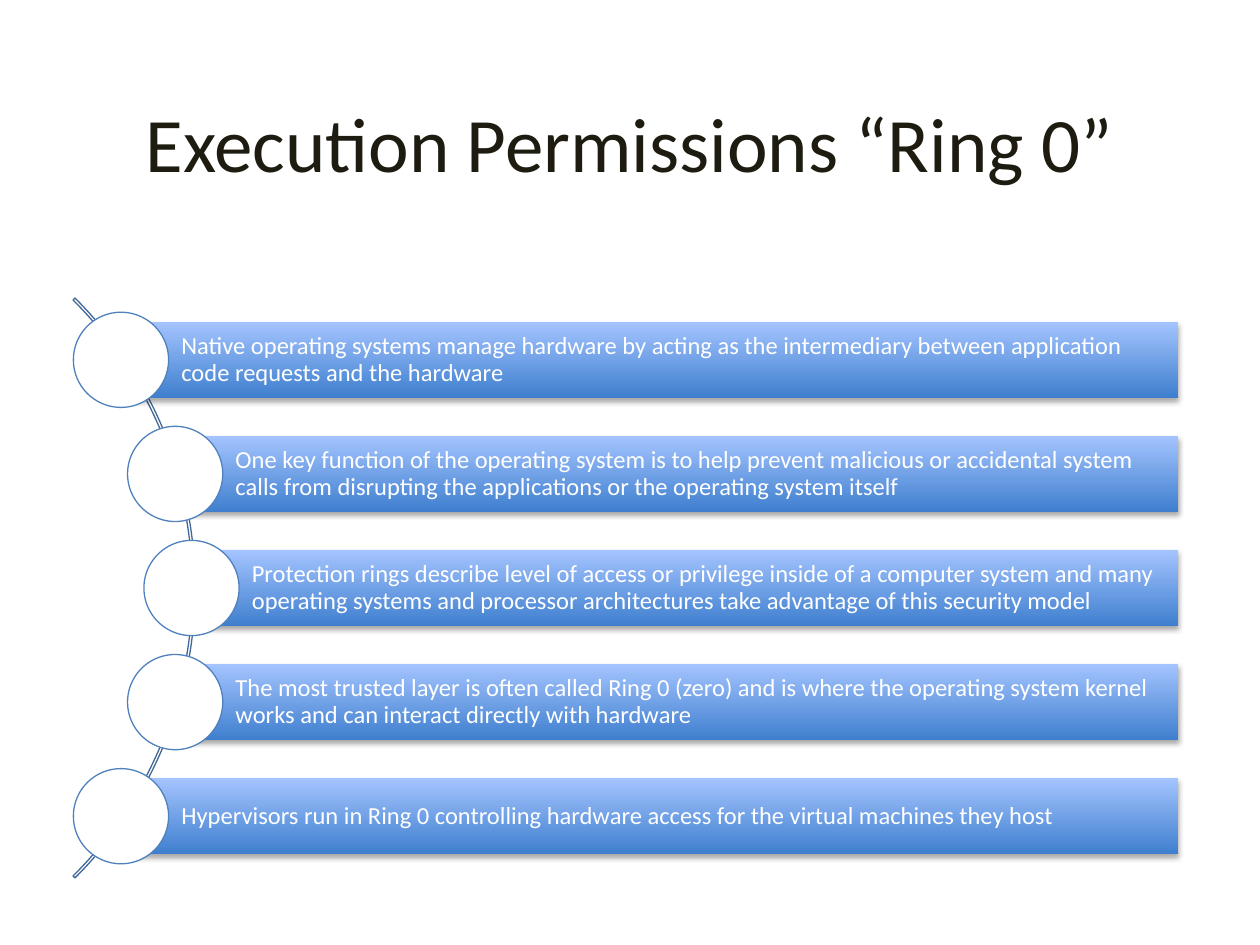
from pptx import Presentation
from pptx.dml.color import RGBColor
from pptx.enum.shapes import MSO_SHAPE as Shape
from pptx.enum.text import MSO_ANCHOR as Anchor, PP_ALIGN as Align
from pptx.oxml import parse_xml
from pptx.oxml.ns import nsdecls
from pptx.util import Pt

SHADOW = (
    f'<a:effectLst {nsdecls("a")}>'
    '<a:outerShdw blurRad="40000" dist="23000" dir="5400000" rotWithShape="0">'
    '<a:srgbClr val="000000"><a:alpha val="35000"/></a:srgbClr>'
    '</a:outerShdw></a:effectLst>'
)


def color(hex_code):
    return RGBColor.from_string(hex_code)


def write(frame, text, size, hex_code, align):
    frame.word_wrap = True
    frame.vertical_anchor = Anchor.MIDDLE
    line = frame.paragraphs[0]
    line.text = text
    line.alignment = align
    line.font.name = "Calibri"
    line.font.size = Pt(size)
    line.font.color.rgb = color(hex_code)
    return line


prs = Presentation()
prs.slide_width, prs.slide_height = Pt(720), Pt(540)
slide = prs.slides.add_slide(prs.slide_layouts[6])
shapes = slide.shapes

# Title
title = shapes.add_textbox(Pt(51.84), Pt(36), Pt(616.32), Pt(90))
write(title.text_frame, "Execution Permissions “Ring 0”", 44, "1E1C11", Align.CENTER)

# Thin arc that the circles sit on
arc = shapes.add_shape(Shape.BLOCK_ARC, Pt(-357.12), Pt(101.7), Pt(468.6), Pt(468.6))
for index, value in enumerate((189, 27, 0.00332)):
    arc.adjustments[index] = value
arc.shadow.inherit = False
arc.fill.background()
arc.line.color.rgb = color("3F6797")
arc.line.width = Pt(0.75)

# Statements: bar start (also the circle's centre) and wording
statements = [
    (69.12, "Native operating systems manage hardware by acting as the intermediary "
            "between application code requests and the hardware"),
    (100.08, "One key function of the operating system is to help prevent malicious or "
             "accidental system calls from disrupting the applications or the operating "
             "system itself"),
    (109.44, "Protection rings describe level of access or privilege inside of a computer "
             "system and many operating systems and processor architectures take advantage "
             "of this security model"),
    (100.08, "The most trusted layer is often called Ring 0 (zero) and is where the "
             "operating system kernel works and can interact directly with hardware"),
    (69.12, "Hypervisors run in Ring 0 controlling hardware access for the virtual "
            "machines they host"),
]
BAR_RIGHT, BAR_HEIGHT, DIAMETER = 673.2, 43.5, 54.4
FIRST_MIDDLE, PITCH = 205.6, 65.2

for row, (start, statement) in enumerate(statements):
    middle = FIRST_MIDDLE + row * PITCH

    # Bar with its text
    bar = shapes.add_shape(Shape.RECTANGLE, Pt(start), Pt(middle - BAR_HEIGHT / 2),
                           Pt(BAR_RIGHT - start), Pt(BAR_HEIGHT))
    bar.fill.gradient()
    bar.fill.gradient_angle = 90
    for stop, hex_code in zip(bar.fill.gradient_stops, ("3F7FCE", "A4C4FF")):
        stop.color.rgb = color(hex_code)
    bar.line.fill.background()
    bar._element.spPr.append(parse_xml(SHADOW))
    frame = bar.text_frame
    frame.margin_left = Pt(34.5)
    frame.margin_top = frame.margin_right = frame.margin_bottom = Pt(2.8)
    write(frame, statement, 14, "FFFFFF", Align.LEFT).line_spacing = 0.9

    # Circle at the bar's start
    circle = shapes.add_shape(Shape.OVAL, Pt(start - DIAMETER / 2),
                              Pt(middle - DIAMETER / 2), Pt(DIAMETER), Pt(DIAMETER))
    circle.shadow.inherit = False
    circle.fill.solid()
    circle.fill.fore_color.rgb = color("FFFFFF")
    circle.line.color.rgb = color("4F81BD")
    circle.line.width = Pt(0.75)

prs.save("out.pptx")
